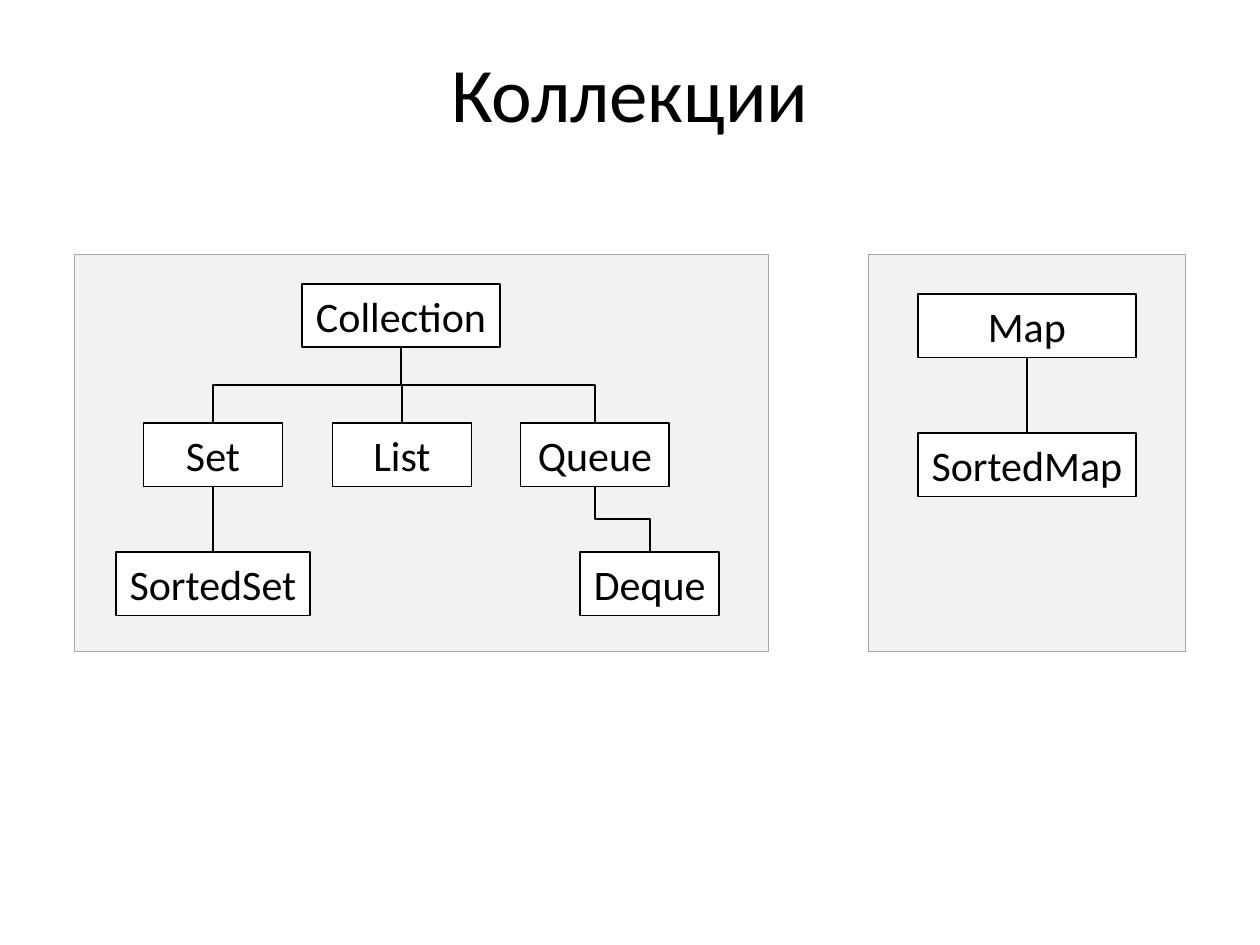
"""Draw the Collection and Map interface trees on one slide."""
import pptx
import pptx.util
import pptx.dml.color
import pptx.enum.shapes
import pptx.enum.text
import pptx.oxml.ns
import lxml.etree

Pt = pptx.util.Pt
kinds = pptx.enum.shapes.MSO_CONNECTOR
hues = {"ink": "000000", "box": "FFFFFF", "panel": "F2F2F2", "edge": "A6A6A6"}
tone = {key: pptx.dml.color.RGBColor.from_string(hue) for key, hue in hues.items()}

deck = pptx.Presentation()
deck.slide_width, deck.slide_height = Pt(720), Pt(540)
slide = deck.slides.add_slide(deck.slide_layouts[6])


def block(left, top, width, height, fill, edge, weight):
    rect = slide.shapes.add_shape(
        pptx.enum.shapes.MSO_SHAPE.RECTANGLE, Pt(left), Pt(top), Pt(width), Pt(height))
    rect.shadow.inherit = False
    rect.fill.solid()
    rect.fill.fore_color.rgb = tone[fill]
    rect.line.color.rgb = tone[edge]
    rect.line.width = Pt(weight)
    return rect


def label(shape, text, size, anchor):
    frame = shape.text_frame
    frame.word_wrap = True
    frame.vertical_anchor = anchor
    para = frame.paragraphs[0]
    para.alignment = pptx.enum.text.PP_ALIGN.CENTER
    run = para.add_run()
    run.text = text
    run.font.name = "Calibri"
    run.font.size = Pt(size)
    run.font.color.rgb = tone["ink"]


title = slide.shapes.add_textbox(Pt(36), Pt(21.6), Pt(648), Pt(61.2))
label(title, "Коллекции", 44, pptx.enum.text.MSO_ANCHOR.MIDDLE)

for left, width in [(496.1, 181.4), (42.5, 396.7)]:
    block(left, 145.4, width, 226.8, "panel", "edge", 0.75)

tall = 36.35
nodes = [
    ("Collection", 229.2, 162.2, 113),
    ("Set", 121.7, 241.7, 79.4),
    ("List", 229.7, 241.7, 79.4),
    ("Queue", 340, 241.7, 85),
    ("Deque", 371.3, 315.4, 79.4),
    ("SortedSet", 121.7, 315.4, 110.9),
    ("Map", 586.8, 168, 124.7),
    ("SortedMap", 586.8, 247.5, 124.7),
]
boxes = {}
for name, mid, top, width in nodes:
    box = block(mid - width / 2, top, width, tall, "box", "ink", 1)
    label(box, name, 24, pptx.enum.text.MSO_ANCHOR.TOP)
    box.text_frame.auto_size = pptx.enum.text.MSO_AUTO_SIZE.SHAPE_TO_FIT_TEXT
    boxes[name] = box

links = [
    ("Map", "SortedMap"), ("Set", "SortedSet"), ("Collection", "Set"),
    ("Collection", "List"), ("Collection", "Queue"), ("Queue", "Deque"),
]
for above, below in links:
    head, foot = boxes[above], boxes[below]
    x1, y1 = head.left + head.width // 2, head.top + head.height
    x2, y2 = foot.left + foot.width // 2, foot.top
    if abs(x2 - x1) < Pt(0.1):
        wire = slide.shapes.add_connector(kinds.STRAIGHT, x1, y1, x2, y2)
        wire.begin_connect(head, 2)
        wire.end_connect(foot, 0)
    else:
        drop, span = y2 - y1, abs(x2 - x1)
        left, top = (x1 + x2 - drop) // 2, (y1 + y2 - span) // 2
        ends, turn = (left, left + drop), 90
        if x2 > x1:
            ends, turn = ends[::-1], 270
        wire = slide.shapes.add_connector(kinds.ELBOW, ends[0], top, ends[1], top + span)
        frame = wire.element.spPr.find(pptx.oxml.ns.qn("a:xfrm"))
        frame.set("rot", str(turn * 60000))
    wire.line.color.rgb = tone["ink"]
    wire.line.width = Pt(1)
    lxml.etree.SubElement(wire.element.spPr, pptx.oxml.ns.qn("a:effectLst"))

deck.save("out.pptx")
